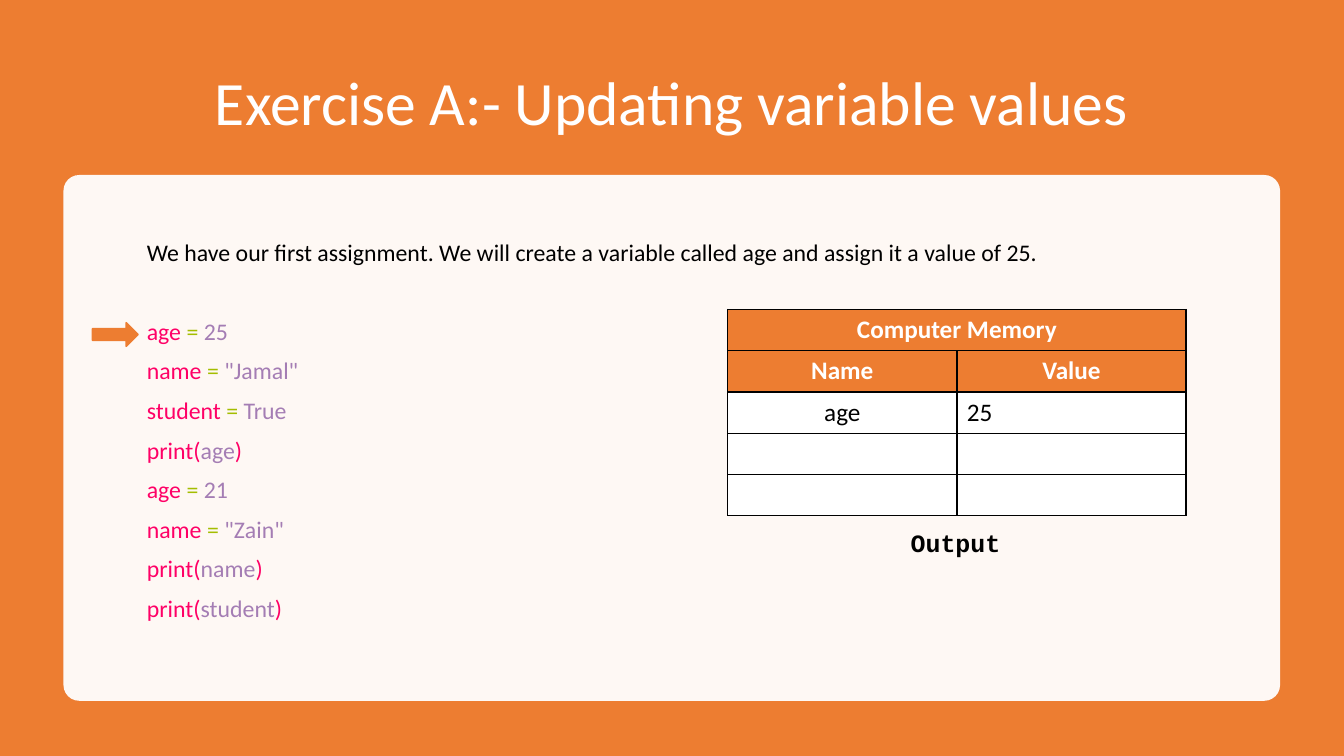
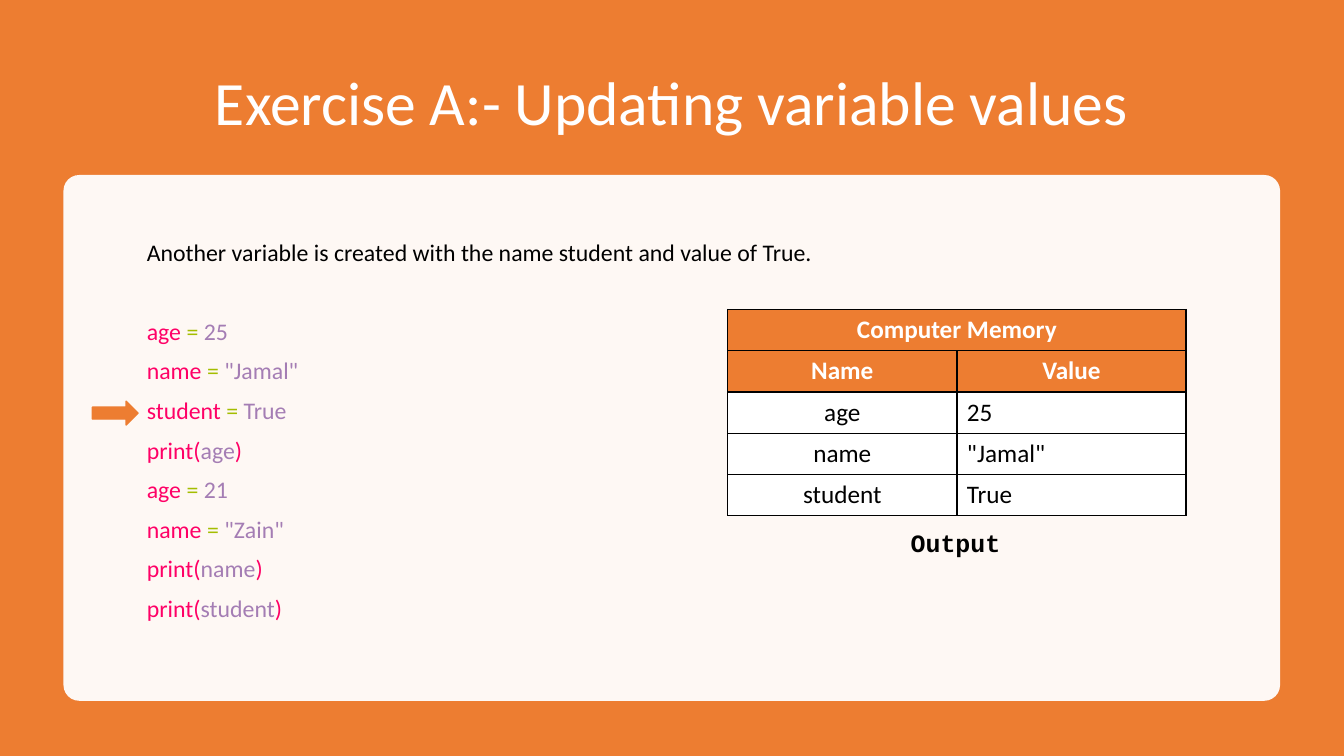
from lxml import etree
from pptx import Presentation
from pptx.dml.color import RGBColor
from pptx.enum.shapes import MSO_SHAPE
from pptx.enum.text import MSO_ANCHOR, PP_ALIGN
from pptx.oxml.ns import qn
from pptx.util import Cm, Pt

ROUND, ARROW = MSO_SHAPE.ROUNDED_RECTANGLE, MSO_SHAPE.RIGHT_ARROW
LEFT, CENTER = PP_ALIGN.LEFT, PP_ALIGN.CENTER
TOP, MIDDLE = MSO_ANCHOR.TOP, MSO_ANCHOR.MIDDLE

HEX = {"main": "ED7D31", "white": "FFFFFF", "black": "000000",
       "name": "FF0066", "sign": "A4BD00", "value": "A47DB4"}
SANS, MONO = "Calibri", "Courier New"

# Boxes are left, top, width, height in centimetres
TITLE = (2.33, 1.27, 29.21, 2.8)
PANEL = (1.6, 4.41, 30.66, 13.25)
BODY = (3.45, 5.94, 28.07, 10.21)
MEMORY = (18.34, 7.8, 11.55, 5.19)
OUTPUT = (18.34, 13.16, 11.48, 1.02)
POINTER = (2.33, 8.13, 1.15, 0.6)
PITCH = 0.99  # distance between code lines
GAP = 9.9     # points between paragraphs


def assign(name, value):
    return [(name + " ", "name"), ("= ", "sign"), (value, "value")]


def output(name):
    return [("print(", "name"), (name, "value"), (")", "name")]


CODE = [assign("age", "25"), assign("name", '"Jamal"'),
        assign("student", "True"), output("age"), assign("age", "21"),
        assign("name", '"Zain"'), output("name"), output("student")]

# Note, current code line, variables in memory
STEPS = [
    ("We have our first assignment. We will create a variable called age "
     "and assign it a value of 25.", 0, [("age", "25")]),
    ("Another variable is created with the name student and value of True.",
     2, [("age", "25"), ("name", '"Jamal"'), ("student", "True")]),
]


def rgb(key):
    return RGBColor.from_string(HEX[key])


def lengths(box):
    return [Cm(n) for n in box]


def style(para, size, color, bold=False, align=LEFT, face=SANS):
    para.alignment = align
    font = para.font
    font.name, font.size, font.bold = face, Pt(size), bold
    font.color.rgb = rgb(color)


def frame(slide, box, anchor=TOP):
    text = slide.shapes.add_textbox(*lengths(box)).text_frame
    text.word_wrap = True
    text.vertical_anchor = anchor
    return text


def shape(slide, kind, box, color):
    item = slide.shapes.add_shape(kind, *lengths(box))
    item.shadow.inherit = False
    item.fill.solid()
    item.fill.fore_color.rgb = rgb(color)
    return item


def add_base(slide, box):
    # Coloured background and pale rounded panel
    fill = slide.background.fill
    fill.solid()
    fill.fore_color.rgb = rgb("main")
    panel = shape(slide, ROUND, box, "white")
    panel.adjustments[0] = 0.03
    panel.line.fill.background()
    tint = panel.fill._xPr.find(".//" + qn("a:srgbClr"))
    etree.SubElement(tint, qn("a:alpha"), val="95000")


def add_title(slide, box):
    para = frame(slide, box, MIDDLE).paragraphs[0]
    para.text = "Exercise A:- Updating variable values"
    para.line_spacing = 0.9
    style(para, 44, "white", align=CENTER)


def add_body(slide, box, note):
    # Explanation, then the coloured code below a wider gap
    text = frame(slide, box)
    para = text.paragraphs[0]
    para.text = note
    para.line_spacing = 0.9
    style(para, 17, "black")
    for row, parts in enumerate(CODE):
        para = text.add_paragraph()
        para.line_spacing = 0.9
        para.space_before = Pt(GAP if row else 38.2)
        style(para, 17, "black")
        for word, color in parts:
            run = para.add_run()
            run.text = word
            run.font.color.rgb = rgb(color)


def add_arrow(slide, box, row):
    x, y, w, h = box
    arrow = shape(slide, ARROW, (x, y + row * PITCH, w, h), "main")
    arrow.line.color.rgb = rgb("main")
    arrow.line.width = Pt(1)


def border(cell):
    props = cell._tc.get_or_add_tcPr()
    for side in ("lnL", "lnR", "lnT", "lnB"):
        line = etree.SubElement(props, qn("a:" + side), w=str(Pt(1)))
        fill = etree.SubElement(line, qn("a:solidFill"))
        etree.SubElement(fill, qn("a:srgbClr"), val=HEX["black"])


def add_memory(slide, box, pairs):
    # Two heading rows and three rows for variables
    rows = [("Computer Memory", ""), ("Name", "Value"), *pairs]
    rows += [("", "")] * (5 - len(rows))
    table = slide.shapes.add_table(len(rows), 2, *lengths(box)).table
    table.first_row = table.horz_banding = False
    for r, words in enumerate(rows):
        head = r < 2
        for c, word in enumerate(words):
            cell = table.cell(r, c)
            border(cell)
            cell.fill.solid()
            cell.fill.fore_color.rgb = rgb("main" if head else "white")
            cell.vertical_anchor = MIDDLE
            para = cell.text_frame.paragraphs[0]
            para.text = word
            style(para, 18, "white" if head else "black", head,
                  CENTER if head or c == 0 else LEFT)
    table.cell(0, 0).merge(table.cell(0, 1))


def add_output(slide, box):
    para = frame(slide, box).paragraphs[0]
    para.text = "Output"
    style(para, 17.8, "black", True, CENTER, MONO)


def add_step(deck, note, row, pairs):
    slide = deck.slides.add_slide(deck.slide_layouts[6])
    add_base(slide, PANEL)
    add_title(slide, TITLE)
    add_body(slide, BODY, note)
    add_memory(slide, MEMORY, pairs)
    add_arrow(slide, POINTER, row)
    add_output(slide, OUTPUT)


def main():
    deck = Presentation()
    deck.slide_width, deck.slide_height = Cm(33.87), Cm(19.05)
    for step in STEPS:
        add_step(deck, *step)
    deck.save("out.pptx")


if __name__ == "__main__":
    main()
